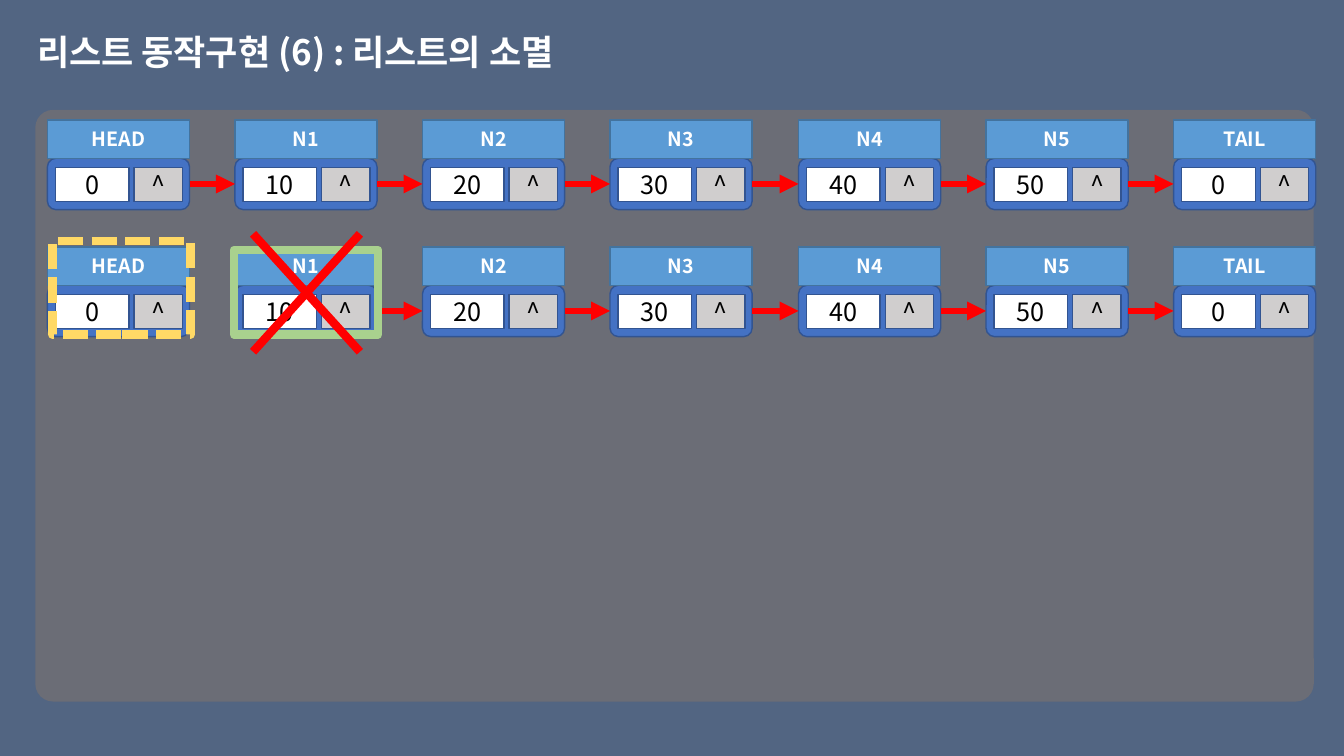
from dataclasses import dataclass

from lxml.etree import SubElement
from pptx import Presentation
from pptx.dml.color import RGBColor
from pptx.enum.dml import MSO_LINE
from pptx.enum.shapes import MSO_CONNECTOR, MSO_SHAPE
from pptx.enum.text import MSO_ANCHOR, MSO_AUTO_SIZE, PP_ALIGN
from pptx.oxml.ns import qn
from pptx.util import Pt

SCALE = 9144  # EMU per px, 100 px to the inch


@dataclass(frozen=True)
class Theme:
    font: str = "Noto Sans CJK KR"
    title_size: int = 25
    name_size: int = 14
    value_size: int = 18
    background: str = "526582"
    panel: str = "767171"
    white: str = "FFFFFF"
    black: str = "000000"
    node: str = "4472C4"
    node_line: str = "325491"
    name: str = "5B9BD5"
    name_line: str = "43739E"
    link: str = "D0CECE"
    red: str = "FF0000"
    green: str = "A9D18E"
    yellow: str = "FFD966"


THEME = Theme()
NODE_WIDTH, NAME_HEIGHT, BODY_HEIGHT = 141, 38, 51
NODES = [("HEAD", "0"), ("N1", "10"), ("N2", "20"), ("N3", "30"),
         ("N4", "40"), ("N5", "50"), ("TAIL", "0")]


def px(*lengths):
    return [round(length) * SCALE for length in lengths]


def color(code):
    return RGBColor.from_string(code)


def style_text(para, size, code, bold=False):
    font = para.font
    font.name, font.size, font.bold = THEME.font, Pt(size), bold
    font.color.rgb = color(code)


def add_block(parent, kind, box, fill=None, line=None, weight=1):
    """Draw a preset shape; a missing fill or line colour leaves that part out."""
    block = parent.shapes.add_shape(kind, *px(*box))
    block.shadow.inherit = False
    if fill:
        block.fill.solid()
        block.fill.fore_color.rgb = color(fill)
    else:
        block.fill.background()
    if line:
        block.line.color.rgb = color(line)
        block.line.width = Pt(weight)
    else:
        block.line.fill.background()
    return block


def add_label(block, text, size, code, bold=False):
    frame = block.text_frame
    frame.vertical_anchor = MSO_ANCHOR.MIDDLE
    para = frame.paragraphs[0]
    para.text = text
    para.alignment = PP_ALIGN.CENTER
    style_text(para, size, code, bold)


def add_line(parent, ends, weight):
    line = parent.shapes.add_connector(MSO_CONNECTOR.STRAIGHT, *px(*ends))
    line.line.color.rgb = color(THEME.red)
    line.line.width = Pt(weight)
    SubElement(line._element.spPr, qn("a:effectLst"))
    return line


def add_title(page, box):
    title = page.shapes.title
    title.left, title.top, title.width, title.height = px(*box)
    frame = title.text_frame
    frame.auto_size = MSO_AUTO_SIZE.NONE
    frame.vertical_anchor = MSO_ANCHOR.TOP
    para = frame.paragraphs[0]
    para.text = "리스트 동작구현 (6) : 리스트의 소멸"
    para.alignment = PP_ALIGN.LEFT
    para.line_spacing = 0.9
    style_text(para, THEME.title_size, THEME.white, bold=True)
    SubElement(para.font._element, qn("a:ea"), typeface=THEME.font)


def add_panel(page, box):
    panel = add_block(page, MSO_SHAPE.ROUNDED_RECTANGLE, box, THEME.panel)
    panel.adjustments[0] = 0.03
    tint = panel._element.spPr.find(qn("a:solidFill"))[0]
    SubElement(tint, qn("a:alpha"), val="70000")


def add_node(page, left, top, name, value):
    """Draw one list node as a group and return its body for the arrows."""
    node = page.shapes.add_group_shape()
    body_top = top + NAME_HEIGHT
    body = add_block(node, MSO_SHAPE.ROUNDED_RECTANGLE,
                     (left, body_top, NODE_WIDTH, BODY_HEIGHT), THEME.node, THEME.node_line)
    cells = [(value, 8, 73, THEME.white), ("^", 86, 48, THEME.link)]
    for text, offset, width, fill in cells:
        cell = add_block(node, MSO_SHAPE.RECTANGLE,
                         (left + offset, body_top + 9, width, 34), fill, THEME.node_line)
        add_label(cell, text, THEME.value_size, THEME.black)
    header = add_block(node, MSO_SHAPE.RECTANGLE,
                       (left, top, NODE_WIDTH, NAME_HEIGHT), THEME.name, THEME.name_line)
    add_label(header, name, THEME.name_size, THEME.white, bold=True)
    return body


def add_arrow(page, source, target):
    arrow = add_line(page, (0, 0, 0, 0), 4.5)
    arrow.begin_connect(source, 3)
    arrow.end_connect(target, 1)
    SubElement(arrow.line._get_or_add_ln(), qn("a:tailEnd"), type="triangle")


def node_lefts(left, width):
    step = (width - NODE_WIDTH) / (len(NODES) - 1)
    return [left + round(index * step) for index in range(len(NODES))]


def add_chain(page, left, top, width, first_link=0):
    """Draw the row of nodes, with arrows from node number first_link on."""
    bodies = [add_node(page, node_left, top, name, value)
              for node_left, (name, value) in zip(node_lefts(left, width), NODES)]
    for source, target in list(zip(bodies, bodies[1:]))[first_link:]:
        add_arrow(page, source, target)


def add_removal(page, left, top, width):
    """Frame the head and the first node of a chain, and cross out the latter."""
    head, first = node_lefts(left, width)[:2]
    add_block(page, MSO_SHAPE.RECTANGLE, (first - 1, top + 3, 143, 84),
              line=THEME.green, weight=6)
    cross = page.shapes.add_group_shape()
    start, end = first + 18, first + 124
    for begin_x, end_x in ((start, end), (end, start)):
        add_line(cross, (begin_x, top - 13, end_x, top + 104), 6)
    dashed = add_block(page, MSO_SHAPE.RECTANGLE, (head + 5, top - 6, 137, 93),
                       line=THEME.yellow, weight=6)
    dashed.line.dash_style = MSO_LINE.SQUARE_DOT
    dashed.line._get_or_add_ln().find(qn("a:prstDash")).set("val", "sysDash")


def build_list_slide(deck):
    page = deck.slides.add_slide(deck.slide_layouts[5])
    page.background.fill.solid()
    page.background.fill.fore_color.rgb = color(THEME.background)
    add_title(page, (27, 30, 796, 78))
    add_panel(page, (35, 109, 1268, 587))
    add_chain(page, 47, 119, 1258)
    add_chain(page, 47, 245, 1258, first_link=1)
    add_removal(page, 47, 245, 1258)


def main():
    deck = Presentation()
    deck.slide_width, deck.slide_height = px(1333, 750)
    build_list_slide(deck)
    deck.save("out.pptx")


if __name__ == "__main__":
    main()
